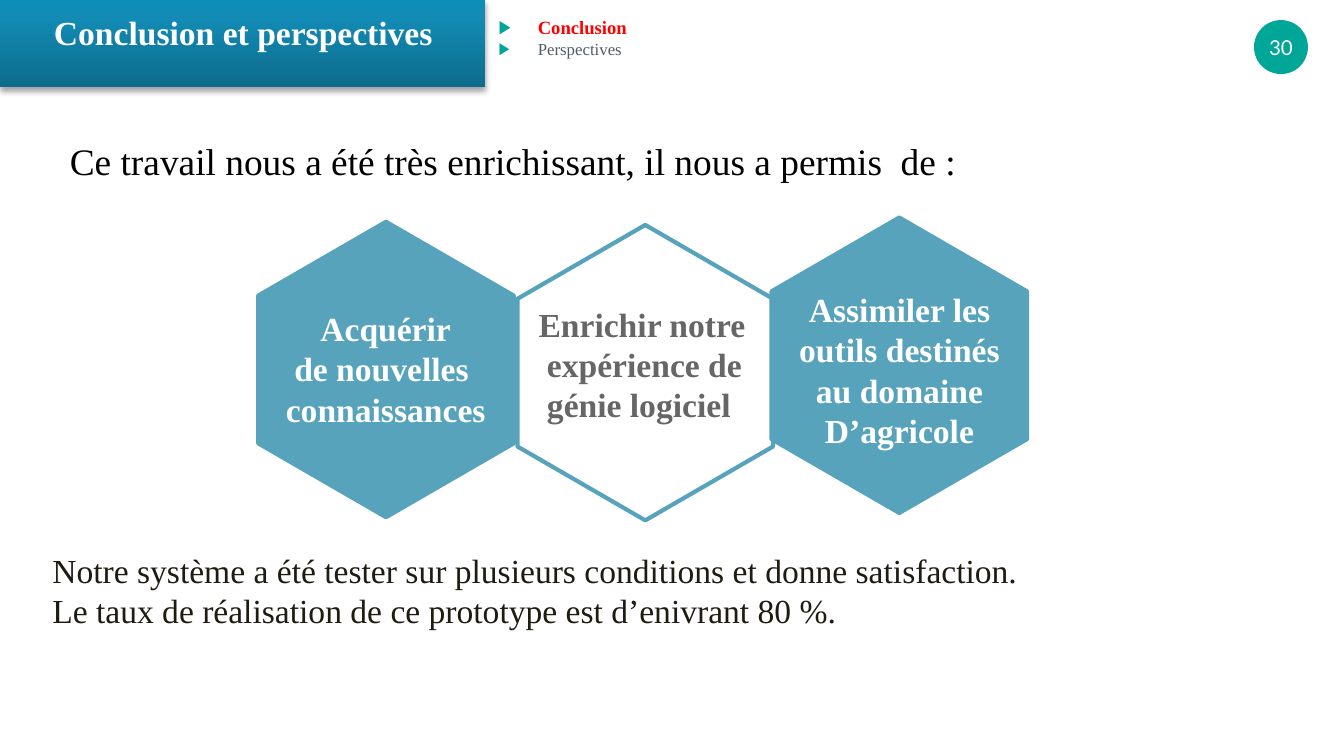
import copy

import lxml.etree
import pptx
import pptx.dml.color
import pptx.enum.shapes
import pptx.enum.text
import pptx.oxml.ns
import pptx.util

Cm = pptx.util.Cm
Pt = pptx.util.Pt
RGBColor = pptx.dml.color.RGBColor
Align = pptx.enum.text.PP_ALIGN
Anchor = pptx.enum.text.MSO_ANCHOR
Preset = pptx.enum.shapes.MSO_SHAPE
qn = pptx.oxml.ns.qn

SERIF = "Times New Roman"
TEAL = RGBColor(0x00, 0xA6, 0x98)
BLUE = RGBColor(0x58, 0xA3, 0xBC)
WHITE = RGBColor(0xFF, 0xFF, 0xFF)
BLACK = RGBColor(0x00, 0x00, 0x00)
GREY = RGBColor(0x66, 0x66, 0x66)
SLATE = RGBColor(0x4F, 0x5D, 0x68)
RED = RGBColor(0xFF, 0x00, 0x00)
DARK = RGBColor(0x1E, 0x1C, 0x11)
BANNER_STOPS = [
    (0, RGBColor(0x0E, 0x6B, 0x8B)),
    (0.8, RGBColor(0x12, 0x8B, 0xB5)),
    (1, RGBColor(0x0F, 0x8D, 0xB9)),
]


def place(shape, box):
    shape.left, shape.top, shape.width, shape.height = map(Cm, box)


def style(paragraph, size, color, bold=False, name=SERIF):
    font = paragraph.font
    font.name, font.size, font.bold = name, Pt(size), bold
    font.color.rgb = color


def add_text(slide, box, lines, size, color, bold=False, align=Align.LEFT, wrap=True):
    frame = slide.shapes.add_textbox(*map(Cm, box)).text_frame
    frame.word_wrap = wrap
    frame.text = "\n".join(lines)
    for paragraph in frame.paragraphs:
        paragraph.alignment = align
        style(paragraph, size, color, bold)


def add_banner(slide, box, title):
    """Gradient band with the slide title on it."""
    left, top, width, height = box
    band = slide.shapes.add_shape(Preset.RECTANGLE, *map(Cm, box))
    band.line.fill.background()
    band.fill.gradient()
    band.fill.gradient_angle = 90
    stop_list = next(band.element.iter(qn("a:gsLst")))
    stop_list.insert(1, copy.deepcopy(stop_list[0]))
    for stop, (position, color) in zip(band.fill.gradient_stops, BANNER_STOPS):
        stop.position = position
        stop.color.rgb = color

    # Soft shadow below the band
    band.shadow.inherit = False
    effects = next(band.element.iter(qn("a:effectLst")))
    shadow = lxml.etree.SubElement(
        effects, qn("a:outerShdw"), blurRad=str(Pt(3.1)), dist=str(Pt(1.8)),
        dir="5400000", algn="t", rotWithShape="0")
    shadow_color = lxml.etree.SubElement(shadow, qn("a:srgbClr"), val=str(BLACK))
    lxml.etree.SubElement(shadow_color, qn("a:alpha"), val="35000")

    # Title, brought in front of the band
    heading = slide.shapes.title
    slide.shapes.element.append(heading.element)
    place(heading, (left + 0.84, top + 0.13, width - 1.4, 0.97))
    frame = heading.text_frame
    frame.text = title
    frame.word_wrap = False
    frame.auto_size = pptx.enum.text.MSO_AUTO_SIZE.NONE
    frame.vertical_anchor = Anchor.TOP
    frame.margin_left = frame.margin_right = Cm(0.18)
    frame.margin_top = frame.margin_bottom = Cm(0.1)
    frame.paragraphs[0].alignment = Align.LEFT
    style(frame.paragraphs[0], 18, WHITE, True)


def add_section_menu(slide, box, entries):
    """Bulleted list of sections, the current one highlighted."""
    menu = slide.placeholders[1]
    place(menu, box)
    frame = menu.text_frame
    frame.text = "\n".join(text for text, *_ in entries)
    frame.auto_size = pptx.enum.text.MSO_AUTO_SIZE.NONE
    for paragraph, (_, size, color, bold) in zip(frame.paragraphs, entries):
        paragraph.space_before = Pt(0)
        properties = paragraph._p.get_or_add_pPr()
        properties.set("marL", str(Cm(0.74)))
        properties.set("indent", str(-Cm(0.74)))
        bullet_color = lxml.etree.SubElement(properties, qn("a:buClr"))
        lxml.etree.SubElement(bullet_color, qn("a:srgbClr"), val=str(TEAL))
        lxml.etree.SubElement(properties, qn("a:buChar"), char="▶")
        style(paragraph, size, color, bold)


def add_page_number(slide, box, number):
    badge = slide.shapes.add_shape(Preset.OVAL, *map(Cm, box))
    badge.shadow.inherit = False
    badge.fill.solid()
    badge.fill.fore_color.rgb = TEAL
    badge.line.fill.background()
    frame = badge.text_frame
    frame.text = number
    frame.word_wrap = False
    frame.margin_left = frame.margin_right = frame.margin_top = frame.margin_bottom = 0
    frame.vertical_anchor = Anchor.MIDDLE
    frame.paragraphs[0].alignment = Align.CENTER
    style(frame.paragraphs[0], 11, WHITE, name="Lato")


def add_hexagon(slide, box, filled):
    """Regular hexagon standing on a corner: a flat one turned by 90 degrees."""
    left, top, width, height = box
    x = left + (width - height) / 2
    y = top + (height - width) / 2
    corners = [(0, 0.5), (0.25, 0), (0.75, 0), (1, 0.5), (0.75, 1), (0.25, 1)]
    points = [(Cm(x + u * height), Cm(y + v * width)) for u, v in corners]
    builder = slide.shapes.build_freeform(*points[0])
    builder.add_line_segments(points[1:], close=True)
    hexagon = builder.convert_to_shape()
    hexagon.rotation = 90
    hexagon.shadow.inherit = False
    hexagon.line.color.rgb = BLUE
    hexagon.line.width = Pt(2.25)
    if filled:
        hexagon.fill.solid()
        hexagon.fill.fore_color.rgb = BLUE
    else:
        hexagon.fill.background()


def add_benefits(slide, box):
    """Row of three touching hexagons, the outlined middle one at the back."""
    left, top = box[:2]
    width, height = 4.83, 5.58
    for dx, dy, filled in [(4.9, 0.14, False), (9.7, 0, True), (0, 0.08, True)]:
        add_hexagon(slide, (left + dx, top + dy, width, height), filled)

    labels = [
        (0.25, 1.58, 4.32, ["Acquérir", "de nouvelles ", "connaissances"],
         WHITE, Align.CENTER),
        (5.05, 1.5, 4.5, ["Enrichir notre", " expérience de", " génie logiciel"],
         GREY, Align.LEFT),
        (9.95, 1.22, 4.34,
         ["Assimiler les", "outils destinés", " au domaine ", "D’agricole"],
         WHITE, Align.CENTER),
    ]
    for dx, dy, label_width, lines, color, align in labels:
        label_box = (left + dx, top + dy, label_width, 0.25 + 0.77 * len(lines))
        add_text(slide, label_box, lines, 18, color, True, align, wrap=False)


def main():
    presentation = pptx.Presentation()
    presentation.slide_width, presentation.slide_height = Cm(25.4), Cm(14.28)
    slide = presentation.slides.add_slide(presentation.slide_layouts[1])

    # Header
    add_page_number(slide, (23.7, 0.38, 1.02, 1.02), "30")
    add_section_menu(slide, (9.17, 0.18, 5.1, 1.07), [
        ("Conclusion", 10, RED, True),
        ("Perspectives", 9, SLATE, False),
    ])
    add_banner(slide, (0, 0, 9.17, 1.65), "Conclusion et perspectives")

    # Content
    add_text(slide, (1.07, 2.49, 22.02, 1.7),
             ["Ce travail nous a été très enrichissant, il nous a permis  de :"], 20, BLACK)
    add_benefits(slide, (4.88, 4.11, 14.53, 5.72))
    add_text(slide, (0.74, 10.26, 23.6, 2.57), [
        "Notre système a été tester sur plusieurs conditions et donne satisfaction.",
        "Le taux de réalisation de ce prototype est d’enivrant 80 %.",
    ], 18, DARK)

    presentation.save("out.pptx")


if __name__ == "__main__":
    main()
